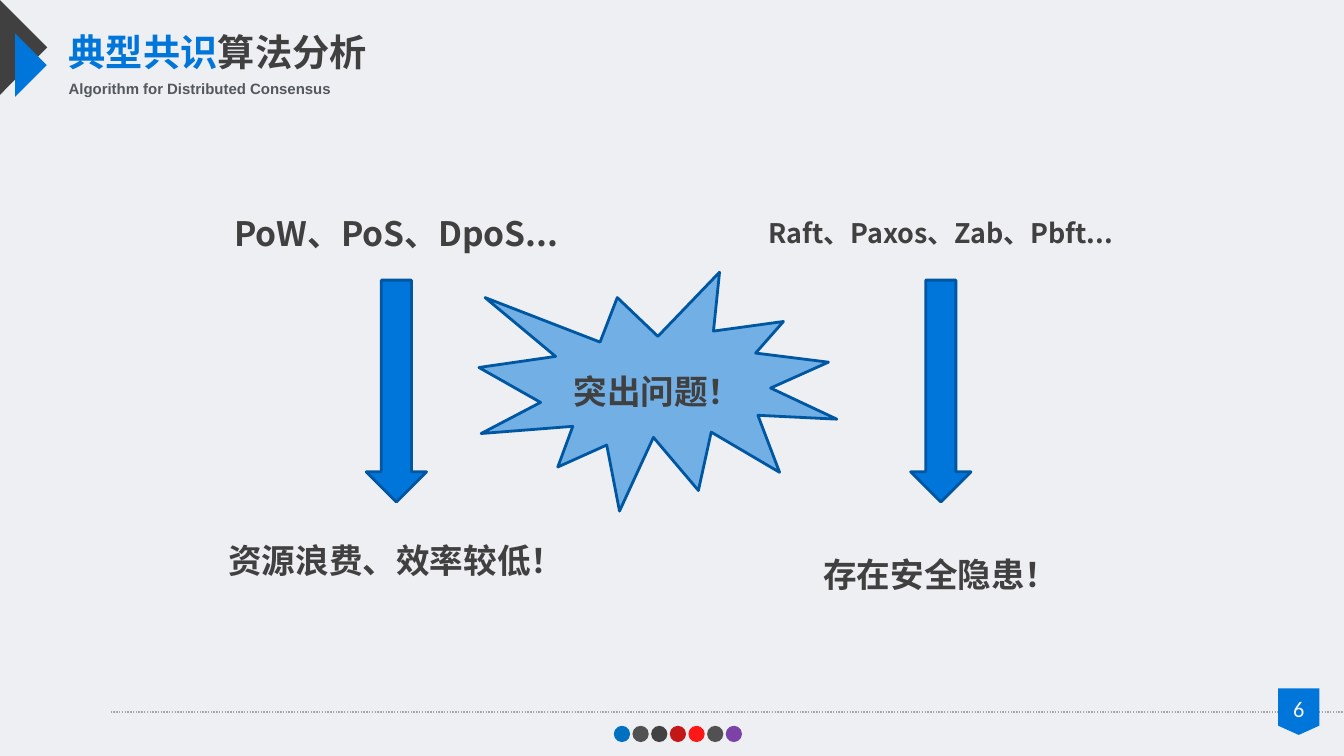
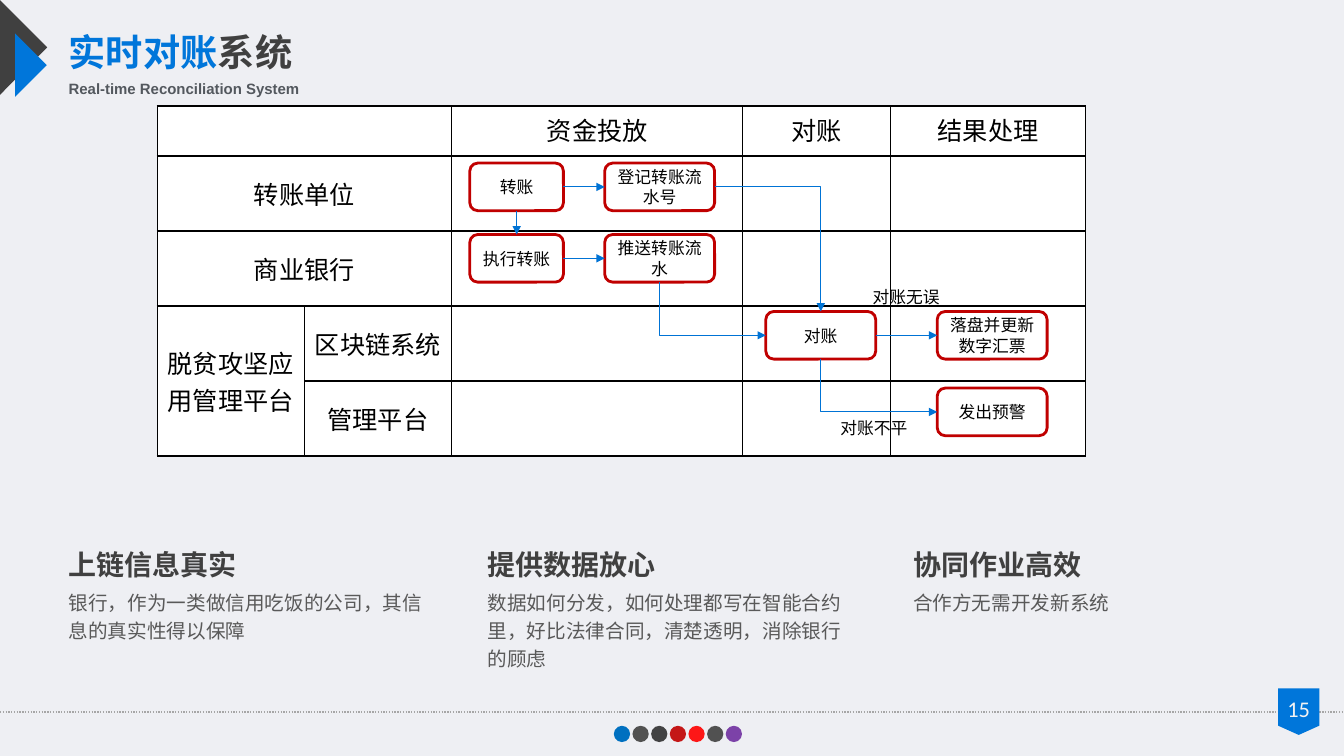
from dataclasses import dataclass

import lxml.etree
import pptx
import pptx.dml.color
import pptx.enum.dml
import pptx.enum.shapes
import pptx.enum.text
import pptx.oxml.ns
import pptx.util

Cm = pptx.util.Cm
Pt = pptx.util.Pt
SHAPE = pptx.enum.shapes.MSO_SHAPE
ALIGN = pptx.enum.text.PP_ALIGN
ANCHOR = pptx.enum.text.MSO_ANCHOR
FIT = pptx.enum.text.MSO_AUTO_SIZE
TOP, LEFT, BOTTOM, RIGHT = range(4)

COLORS = {
    "back": "EEEFF3", "blue": "0076DA", "edge": "0057A1", "link": "0073D5",
    "dark": "404040", "grey": "53585E", "body": "595959", "rule": "A6A6A6",
    "pale": "F2F2F2", "red": "C00000", "white": "FFFFFF", "black": "000000",
}
DOTS = ["0070C0", "404040", "303030", "C00000", "FF0000", "404040", "7030A0"]
CJK = "Noto Sans CJK SC"
FLUSH = dict.fromkeys(["margin_left", "margin_top", "margin_right", "margin_bottom"], 0)


@dataclass(frozen=True)
class Style:
    name: str
    size: float
    color: str
    bold: bool = False


TITLE_LEAD = Style("Roboto Condensed", 26.6, "blue", True)
TITLE_REST = Style("Roboto Condensed", 26.6, "dark", True)
SUBTITLE = Style("Arial", 10.7, "grey", True)
NUMBER = Style("Calibri", 16, "pale")
LABEL = Style(CJK, 24, "dark", True)
LABEL_SMALL = Style(CJK, 19.2, "dark", True)
HEADING = Style(CJK, 20, "dark", True)
BODY = Style(CJK, 14, "body")
CELL = Style("Calibri", 18, "black")
STEP = Style("Calibri", 12, "black")


@dataclass(frozen=True)
class Label:
    text: str
    left: float
    top: float
    style: Style = LABEL


@dataclass(frozen=True)
class Step:
    text: str
    left: float
    row: int
    width: float = 2.77


@dataclass(frozen=True)
class Link:
    start: str
    start_side: int
    end: str
    end_side: int


@dataclass(frozen=True)
class Benefit:
    left: float
    heading: str
    body: str
    lines: int


LABEL_W, LABEL_H = 10.08, 1.47
LEFT_X, RIGHT_X = 4.95, 18.67
LABELS = [
    Label("PoW、PoS、DpoS...", LEFT_X, 5.13),
    Label("资源浪费、效率较低！", LEFT_X, 13.39),
    Label("Raft、Paxos、Zab、Pbft...", RIGHT_X, 5.13, LABEL_SMALL),
    Label("存在安全隐患！", RIGHT_X, 13.72),
]
STEP_TOPS = [4.11, 5.91, 7.85, 9.78]
STEPS = {
    "transfer": Step("转账", 11.84, 0, 2.36),
    "execute": Step("执行转账", 11.84, 1, 2.36),
    "register": Step("登记转账流水号", 15.24, 0),
    "push": Step("推送转账流水", 15.24, 1),
    "check": Step("对账", 19.3, 2),
    "warn": Step("发出预警", 23.62, 3),
    "settle": Step("落盘并更新数字汇票", 23.62, 2),
}
LINKS = [
    Link("transfer", RIGHT, "register", LEFT),
    Link("transfer", BOTTOM, "execute", TOP),
    Link("execute", RIGHT, "push", LEFT),
    Link("check", RIGHT, "settle", LEFT),
    Link("register", RIGHT, "check", TOP),
    Link("push", BOTTOM, "check", LEFT),
    Link("check", BOTTOM, "warn", LEFT),
]
BENEFITS = [
    Benefit(1.73, "上链信息真实", "银行，作为一类做信用吃饭的公司，其信息的真实性得以保障", 2),
    Benefit(12.29, "提供数据放心",
            "数据如何分发，如何处理都写在智能合约里，好比法律合同，清楚透明，消除银行的顾虑", 3),
    Benefit(23.01, "协同作业高效", "合作方无需开发新系统", 1),
]
COL_WIDTHS = [3.71, 3.71, 7.34, 3.73, 4.9]
ROW_HEIGHTS = [1.26] + [1.89] * 4
MERGES = [((0, 0), (0, 1)), ((1, 0), (1, 1)), ((2, 0), (2, 1)), ((3, 0), (4, 0))]
CELLS = {
    (0, 2): "资金投放", (0, 3): "对账", (0, 4): "结果处理",
    (1, 0): "转账单位", (2, 0): "商业银行",
    (3, 0): "脱贫攻坚应用管理平台", (3, 1): "区块链系统", (4, 1): "管理平台",
}


def rgb(color: str):
    return pptx.dml.color.RGBColor.from_string(COLORS.get(color, color))


def add_xml(parent, tag: str, **attrs):
    return lxml.etree.SubElement(parent, pptx.oxml.ns.qn(tag), attrs)


def set_all(obj, values: dict) -> None:
    for key, value in values.items():
        setattr(obj, key, value)


def add_run(p, text: str, style: Style) -> None:
    r = p.add_run()
    r.text = text
    set_all(r.font, {"name": style.name, "size": Pt(style.size), "bold": style.bold})
    r.font.color.rgb = rgb(style.color)
    add_xml(r.font._element, "a:ea", typeface=CJK)


def add_text(shapes, box: tuple, paras: list, frame: dict, para: dict):
    """Add a text box; paras holds (text, style) pairs, one for each paragraph."""
    sp = shapes.add_textbox(*map(Cm, box))
    tf = sp.text_frame
    set_all(tf, {"word_wrap": True, **frame})
    for i, (text, style) in enumerate(paras):
        p = tf.add_paragraph() if i else tf.paragraphs[0]
        set_all(p, para)
        add_run(p, text, style)
    return sp


def paint(sp, fill: str, line: str = "", alpha: int = 100) -> None:
    sp.shadow.inherit = False
    sp.fill.solid()
    sp.fill.fore_color.rgb = rgb(fill)
    if alpha < 100:
        clr = sp.element.spPr.find(".//" + pptx.oxml.ns.qn("a:srgbClr"))
        add_xml(clr, "a:alpha", val=str(alpha * 1000))
    if line:
        sp.line.color.rgb = rgb(line)
        sp.line.width = Pt(2)
    else:
        sp.line.fill.background()


def add_shape(shapes, kind, box: tuple, fill: str, line: str = "", alpha: int = 100):
    sp = shapes.add_shape(kind, *map(Cm, box))
    paint(sp, fill, line, alpha)
    return sp


def add_triangle(shapes, left: float, top: float, width: float, height: float, fill: str) -> None:
    """Add a triangle that points right."""
    fb = shapes.build_freeform(Cm(left), Cm(top))
    fb.add_line_segments([(Cm(left + width), Cm(top + height / 2)), (Cm(left), Cm(top + height))])
    paint(fb.convert_to_shape(), fill)


def style_connector(c, color: str, width: float) -> None:
    c.line.color.rgb = rgb(color)
    c.line.width = Pt(width)
    add_xml(c.element.spPr, "a:effectLst")


def add_slide(prs, lead: str, rest: str, subtitle: str, number: int, rule_left: float):
    """Add a title-only slide with its corner mark, footer and page number."""
    slide = prs.slides.add_slide(prs.slide_layouts[5])
    shapes = slide.shapes
    rule = shapes.add_connector(pptx.enum.shapes.MSO_CONNECTOR.STRAIGHT,
                                Cm(rule_left), Cm(17.94), prs.slide_width, Cm(17.94))
    style_connector(rule, "rule", 1)
    rule.line.dash_style = pptx.enum.dml.MSO_LINE.ROUND_DOT

    add_shape(shapes, SHAPE.FLOWCHART_OFFPAGE_CONNECTOR, (32.21, 17.35, 1.04, 1.17), "blue")
    add_text(shapes, (31.98, 17.48, 1.5, 0.86), [(str(number), NUMBER)],
             {"auto_size": FIT.SHAPE_TO_FIT_TEXT},
             {"alignment": ALIGN.CENTER, "line_spacing": 0.9, "space_before": Pt(10)})

    dots = shapes.add_group_shape().shapes
    for i, color in enumerate(DOTS):
        add_shape(dots, SHAPE.OVAL, (15.47 + 0.47 * i, 18.29, 0.41, 0.41), color,
                  alpha=90 if i else 100)

    add_triangle(shapes, 0, 0, 1.19, 2.39, "dark")
    add_triangle(shapes, 0.38, 0.84, 0.8, 1.6, "blue")

    title = shapes.title
    set_all(title, {"left": Cm(1.73), "top": Cm(0.74),
                    "width": Cm(0.94 * len(lead + rest)), "height": Cm(1.14)})
    tf = title.text_frame
    set_all(tf, {**FLUSH, "word_wrap": False, "auto_size": FIT.SHAPE_TO_FIT_TEXT,
                 "vertical_anchor": ANCHOR.TOP})
    p = tf.paragraphs[0]
    p.alignment = ALIGN.LEFT
    add_run(p, lead, TITLE_LEAD)
    add_run(p, rest, TITLE_REST)
    add_text(shapes, (1.73, 2.01, 6.68, 0.46), [(subtitle, SUBTITLE)],
             {**FLUSH, "auto_size": FIT.SHAPE_TO_FIT_TEXT}, {})
    return slide


def add_label(shapes, label: Label) -> None:
    add_text(shapes, (label.left, label.top, LABEL_W, LABEL_H), [(label.text, label.style)],
             {"vertical_anchor": ANCHOR.MIDDLE}, {"alignment": ALIGN.CENTER})


def add_table(shapes) -> None:
    frame = shapes.add_table(len(ROW_HEIGHTS), len(COL_WIDTHS), Cm(3.96), Cm(2.67),
                             Cm(sum(COL_WIDTHS)), Cm(sum(ROW_HEIGHTS)))
    table = frame.table
    set_all(table, {"first_row": False, "horz_banding": False})
    for col, width in zip(table.columns, COL_WIDTHS):
        col.width = Cm(width)
    for row, height in zip(table.rows, ROW_HEIGHTS):
        row.height = Cm(height)
    for cell in table.iter_cells():
        tc_pr = cell._tc.get_or_add_tcPr()
        for side in "LRTB":
            ln = add_xml(tc_pr, "a:ln" + side, w=str(int(Pt(1))))
            add_xml(add_xml(ln, "a:solidFill"), "a:srgbClr", val=COLORS["black"])
        cell.fill.solid()
        cell.fill.fore_color.rgb = rgb("white")
    for first, last in MERGES:
        table.cell(*first).merge(table.cell(*last))
    for (row, col), text in CELLS.items():
        cell = table.cell(row, col)
        cell.vertical_anchor = ANCHOR.MIDDLE if row else ANCHOR.TOP
        p = cell.text_frame.paragraphs[0]
        p.alignment = ALIGN.CENTER
        add_run(p, text, CELL)


def add_step(shapes, step: Step):
    sp = add_shape(shapes, SHAPE.ROUNDED_RECTANGLE,
                   (step.left, STEP_TOPS[step.row], step.width, 1.2), "white", "red")
    tf = sp.text_frame
    set_all(tf, {"word_wrap": True, "vertical_anchor": ANCHOR.MIDDLE})
    p = tf.paragraphs[0]
    p.alignment = ALIGN.CENTER
    add_run(p, step.text, STEP)
    return sp


def add_link(shapes, link: Link, boxes: dict) -> None:
    """Join two steps with an arrow; sides at right angles give one bend."""
    bent = (link.start_side + link.end_side) % 2 == 1
    kinds = pptx.enum.shapes.MSO_CONNECTOR
    c = shapes.add_connector(kinds.ELBOW if bent else kinds.STRAIGHT, 0, 0, 0, 0)
    c.begin_connect(boxes[link.start], link.start_side)
    c.end_connect(boxes[link.end], link.end_side)
    style_connector(c, "link", 0.75)
    add_xml(c.element.spPr.find(pptx.oxml.ns.qn("a:ln")), "a:tailEnd", type="triangle")
    if bent:
        c.element.spPr.find(pptx.oxml.ns.qn("a:prstGeom")).set("prst", "bentConnector2")
        if link.start_side == BOTTOM:
            w, h = c.width, c.height
            set_all(c, {"left": c.left + (w - h) // 2, "top": c.top + (h - w) // 2,
                        "width": h, "height": w})
            xfrm = c.element.spPr.find(pptx.oxml.ns.qn("a:xfrm"))
            xfrm.set("rot", "5400000")
            xfrm.set("flipV", "1")


def build_consensus(prs) -> None:
    shapes = add_slide(prs, "典型共识", "算法分析",
                       "Algorithm for Distributed Consensus", 6, 2.79).shapes
    for label in LABELS:
        add_label(shapes, label)
    burst = shapes.add_group_shape().shapes
    add_shape(burst, SHAPE.EXPLOSION1, (12.07, 6.86, 9.02, 6.02), "blue", "edge", 52)
    add_label(burst, Label("突出问题！", 11.53, 9.12))
    for left in (LEFT_X, RIGHT_X):
        add_shape(shapes, SHAPE.DOWN_ARROW, (left + (LABEL_W - 1.52) / 2, 7.06, 1.52, 5.59),
                  "blue", "edge")


def build_reconciliation(prs) -> None:
    shapes = add_slide(prs, "实时对账", "系统", "Real-time Reconciliation System", 15, 0).shapes
    for b in BENEFITS:
        add_text(shapes, (b.left, 13.64, 9.19, 1.14 + 0.71 * b.lines),
                 [(b.heading, HEADING), (b.body, BODY)],
                 {**FLUSH, "auto_size": FIT.SHAPE_TO_FIT_TEXT},
                 {"line_spacing": 1.2, "space_before": Pt(3)})
    add_table(shapes)
    boxes = {key: add_step(shapes, step) for key, step in STEPS.items()}
    for link in LINKS:
        add_link(shapes, link, boxes)
    for text, left, top in (("对账不平", 20.68, 10.39), ("对账无误", 21.49, 7.09)):
        add_text(shapes, (left, top, 2.69, 0.76), [(text, STEP)],
                 {"auto_size": FIT.SHAPE_TO_FIT_TEXT}, {"alignment": ALIGN.CENTER})


def main() -> None:
    prs = pptx.Presentation()
    set_all(prs, {"slide_width": Cm(33.87), "slide_height": Cm(19.05)})
    fill = prs.slide_master.background.fill
    fill.solid()
    fill.fore_color.rgb = rgb("back")
    build_consensus(prs)
    build_reconciliation(prs)
    prs.save("out.pptx")


if __name__ == "__main__":
    main()
